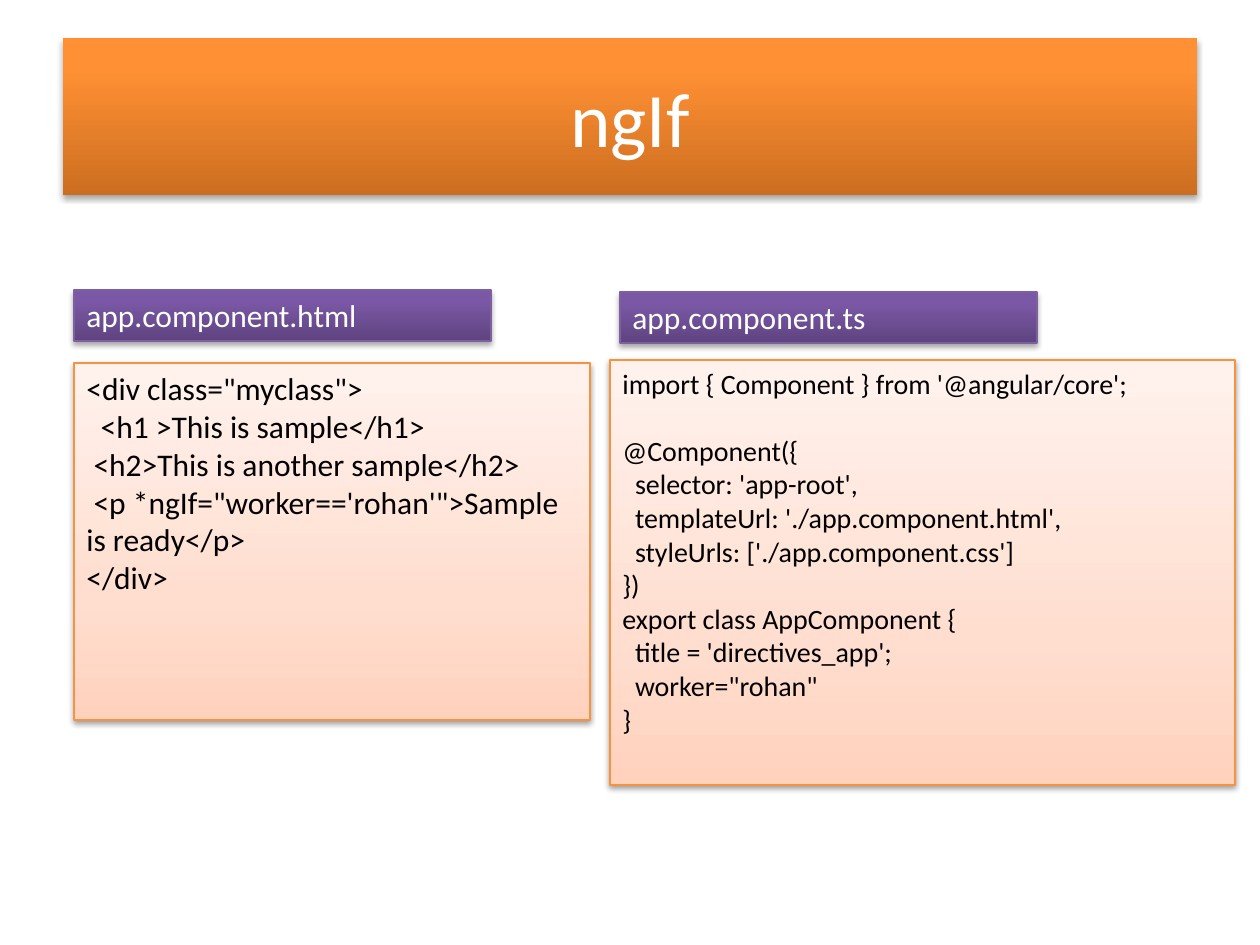
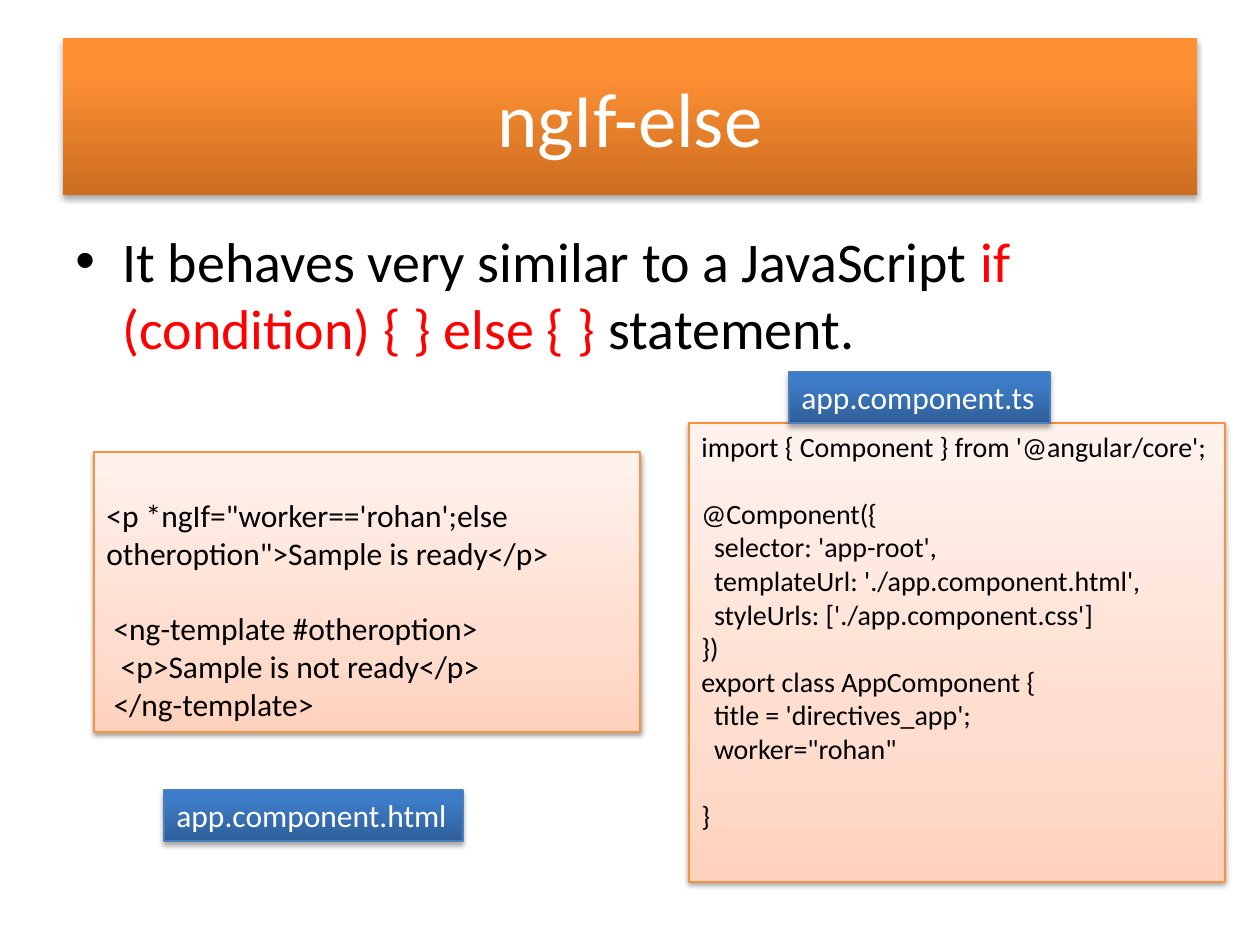
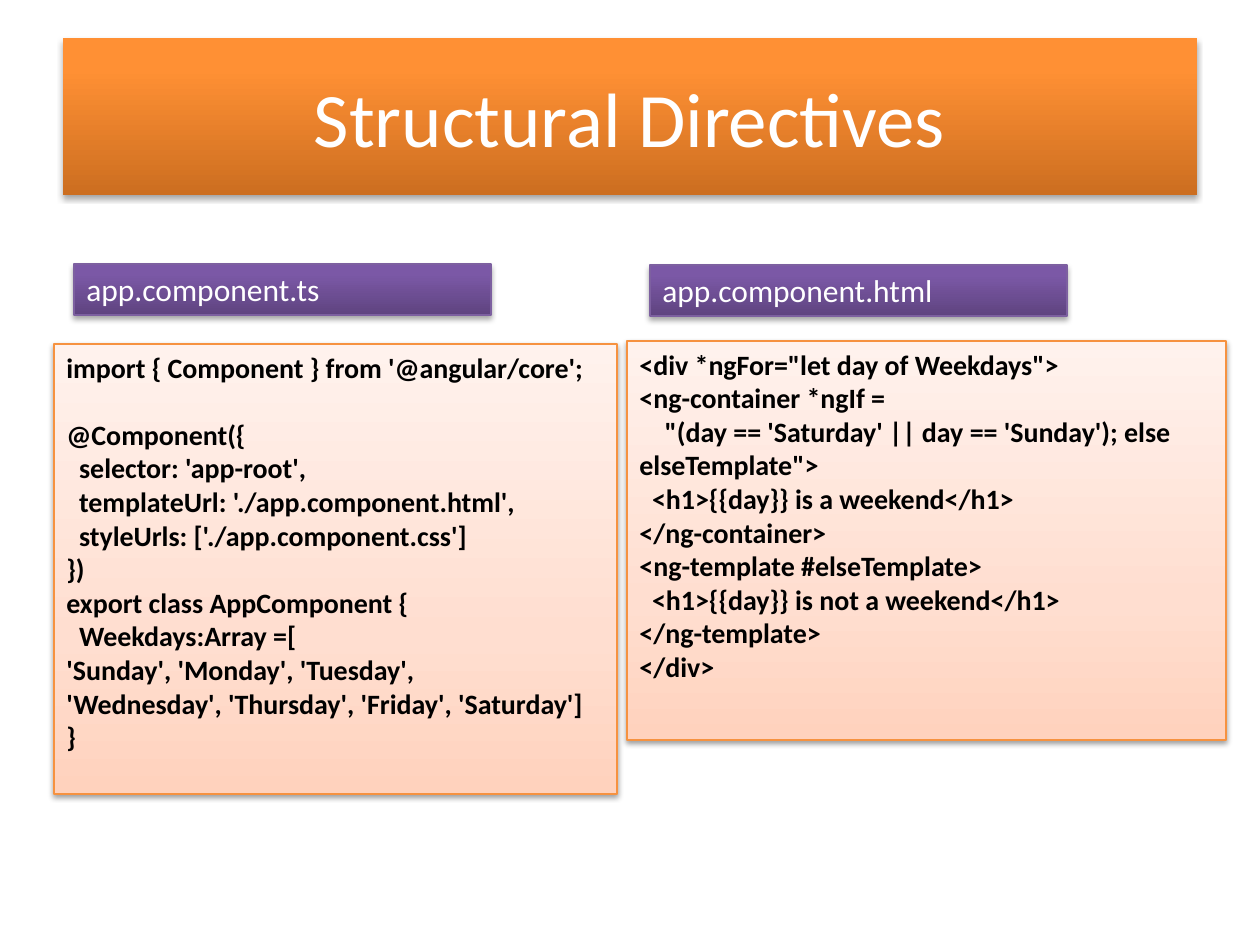
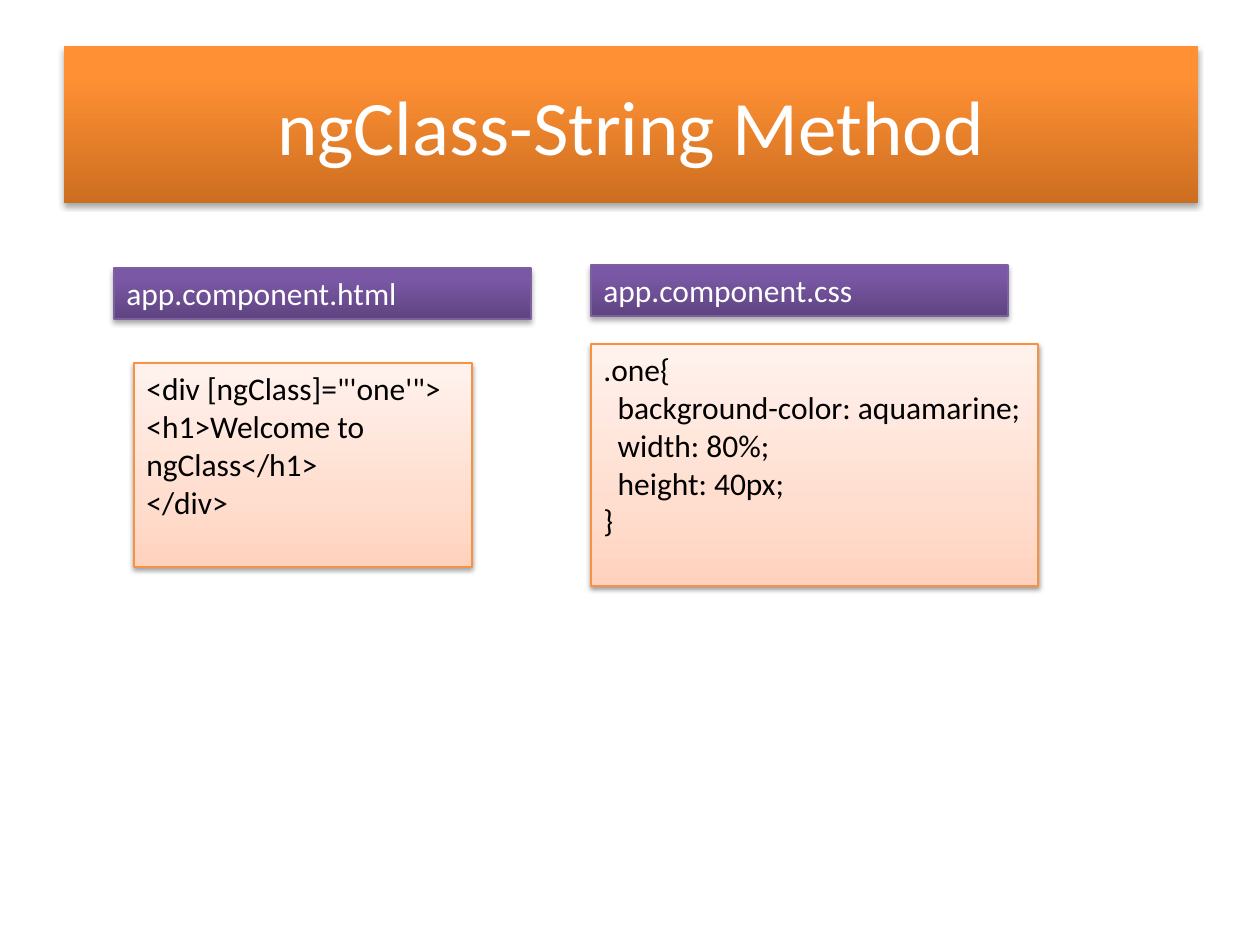
from lxml import etree
from pptx import Presentation
from pptx.dml.color import RGBColor
from pptx.enum.shapes import MSO_SHAPE
from pptx.enum.text import MSO_ANCHOR, PP_ALIGN
from pptx.oxml.ns import qn
from pptx.util import Pt

RECTANGLE = MSO_SHAPE.RECTANGLE
TOP, MIDDLE = MSO_ANCHOR.TOP, MSO_ANCHOR.MIDDLE
LEFT, CENTER = PP_ALIGN.LEFT, PP_ALIGN.CENTER

EMU_PER_PX = 914400 / 126
SLIDE_WIDTH, SLIDE_HEIGHT = 1260, 945
FONT = "Calibri"
LINE_HEIGHT = 1.2      # of the font size
SPACE_WIDTH = 0.226    # of the font size
BULLET_INDENT = 47

COLORS = {"black": "000000", "white": "FFFFFF", "red": "FF0000"}

# Gradient stops run from the bottom edge to the top edge.
STYLES = {
    "title": {"stops": [(0, "CC6E20"), (80, "FF9034"), (100, "FF9136")],
              "line": None, "shadow": (35, 1.8)},
    "code": {"stops": [(0, "FFD2BD"), (35, "FFDED0"), (100, "FFF2ED")],
             "line": "F69240", "shadow": (38, 1.6)},
    "purple": {"stops": [(0, "5F4480"), (80, "7B58A6"), (100, "7C57A8")],
               "line": "7D60A0", "shadow": (35, 1.8)},
    "blue": {"stops": [(0, "2F5F99"), (80, "3D7CC7"), (100, "3A7CCB")],
             "line": "4B7EBC", "shadow": (35, 1.8)},
}

TITLE_SIZE = (1134, 157)
TITLE_PLACE = (63, 38)
LABEL_WIDTH, LABEL_HEIGHT = 417, 51

HTML_FILE, TS_FILE, CSS_FILE = (
    "app.component.html", "app.component.ts", "app.component.css")

COMPONENT_HEAD = [
    "import { Component } from '@angular/core';",
    "",
    "@Component({",
    "  selector: 'app-root',",
    "  templateUrl: './app.component.html',",
    "  styleUrls: ['./app.component.css']",
    "})",
    "export class AppComponent {",
]
WORKER_FIELDS = ["  title = 'directives_app';", '  worker="rohan"']

# Panels: box, font size, code lines. Labels: left, top, width, file name.
SLIDES = [
    {
        "title": "ngIf",
        "panels": [
            ((74, 363, 516, 357), 18, [
                '<div class="myclass">',
                "  <h1 >This is sample</h1>",
                " <h2>This is another sample</h2>",
                " <p *ngIf=\"worker=='rohan'\">Sample is ready</p>",
                "</div>",
            ]),
            ((610, 360, 625, 425), 16,
             COMPONENT_HEAD + WORKER_FIELDS + ["}"]),
        ],
        "labels": [(620, 292, LABEL_WIDTH, TS_FILE),
                   (74, 290, LABEL_WIDTH, HTML_FILE)],
    },
    {
        "title": "ngIf-else",
        "body": [("It behaves very similar to a JavaScript ", "black"),
                 ("if (condition) { } else { }", "red"),
                 (" statement.", "black")],
        "panels": [
            ((94, 452, 546, 280), 18, [
                "",
                "<p *ngIf=\"worker=='rohan';else otheroption\">"
                "Sample is ready</p>",
                "",
                " <ng-template #otheroption>",
                "  <p>Sample is not ready</p>",
                " </ng-template>",
            ]),
            ((689, 423, 536, 459), 16,
             COMPONENT_HEAD + WORKER_FIELDS + ["", "}"]),
        ],
        "label_style": "blue",
        "labels": [(164, 790, 299, HTML_FILE), (789, 372, 261, TS_FILE)],
    },
    {
        "title": "Structural Directives",
        "bold": True,
        "panels": [
            ((54, 344, 563, 450), 16, COMPONENT_HEAD + [
                "  Weekdays:Array =[",
                "'Sunday', 'Monday', 'Tuesday',",
                "'Wednesday', 'Thursday', 'Friday', 'Saturday']",
                "}",
            ]),
            ((627, 341, 599, 399), 16, [
                '<div *ngFor="let day of Weekdays">',
                "<ng-container *ngIf =",
                "    \"(day == 'Saturday' || day == 'Sunday'); "
                "else elseTemplate\">",
                "  <h1>{{day}} is a weekend</h1>",
                "</ng-container>",
                "<ng-template #elseTemplate>",
                "  <h1>{{day}} is not a weekend</h1>",
                "</ng-template>",
                "</div>",
            ]),
        ],
        "labels": [(74, 264, LABEL_WIDTH, TS_FILE),
                   (650, 265, LABEL_WIDTH, HTML_FILE)],
    },
    {
        "title": "ngClass-String Method",
        "title_place": (64, 46),
        "panels": [
            ((134, 363, 338, 204), 18, [
                "<div [ngClass]=\"'one'\">",
                "<h1>Welcome to ngClass</h1>",
                "</div>",
            ]),
            ((591, 344, 447, 242), 18, [
                ".one{",
                "  background-color: aquamarine;",
                "  width: 80%;",
                "  height: 40px;",
                "}",
            ]),
        ],
        "labels": [(114, 268, LABEL_WIDTH, HTML_FILE),
                   (591, 265, LABEL_WIDTH, CSS_FILE)],
    },
]


def px(length):
    return round(length * EMU_PER_PX)


def add_color(parent, color):
    return etree.SubElement(parent, qn("a:srgbClr"), val=color)


def set_gradient(shape, stops):
    shape.fill.gradient()
    shape.fill.gradient_angle = 90
    stop_list = shape.fill._fill._gradFill.find(qn("a:gsLst"))
    stop_list.clear()
    for position, color in stops:
        add_color(etree.SubElement(stop_list, qn("a:gs"),
                                   pos=str(position * 1000)), color)


def set_shadow(shape, opacity, distance):
    shape.shadow.inherit = False
    effects = shape._element.spPr.find(qn("a:effectLst"))
    shadow = etree.SubElement(
        effects, qn("a:outerShdw"), blurRad=str(Pt(3.1)),
        dist=str(Pt(distance)), dir="5400000", rotWithShape="0")
    etree.SubElement(add_color(shadow, COLORS["black"]), qn("a:alpha"),
                     val=str(opacity * 1000))


def add_box(slide, box, style):
    shape = slide.shapes.add_shape(RECTANGLE, *map(px, box))
    set_gradient(shape, style["stops"])
    if style["line"]:
        shape.line.color.rgb = RGBColor.from_string(style["line"])
        shape.line.width = Pt(0.75)
    else:
        shape.line.fill.background()
    set_shadow(shape, *style["shadow"])
    return shape


def write_text(shape, lines, size=18, color="black", bold=False,
               align=LEFT, anchor=TOP):
    """Write each line, a string or a list of (text, color), as a paragraph.

    Leading spaces become a first-line indent; an empty line becomes space
    above the next paragraph, or a deeper top inset at the start.
    """
    frame = shape.text_frame
    frame.word_wrap = True
    frame.vertical_anchor = anchor
    paragraph, gap = None, 0
    for line in lines:
        if not line:
            gap += size * LINE_HEIGHT
            continue
        if paragraph is None:
            paragraph = frame.paragraphs[0]
            frame.margin_top += Pt(gap)
        else:
            paragraph = frame.add_paragraph()
            paragraph.space_before = Pt(gap)
        gap = 0
        paragraph.alignment = align
        runs = line
        if isinstance(line, str):
            code = line.lstrip()
            indent = Pt((len(line) - len(code)) * SPACE_WIDTH * size)
            paragraph._p.get_or_add_pPr().set("indent", str(indent))
            runs = [(code, color)]
        for text, run_color in runs:
            run = paragraph.add_run()
            run.text = text
            run.font.name = FONT
            run.font.size = Pt(size)
            run.font.bold = bold
            run.font.color.rgb = RGBColor.from_string(COLORS[run_color])


def add_body(slide, runs):
    body = slide.shapes.add_textbox(*map(px, (63, 220, 1134, 152)))
    write_text(body, [runs], size=32)
    properties = body.text_frame.paragraphs[0]._p.get_or_add_pPr()
    properties.set("marL", str(px(BULLET_INDENT)))
    properties.set("indent", str(-px(BULLET_INDENT)))
    etree.SubElement(properties, qn("a:buFont"), typeface="Arial")
    etree.SubElement(properties, qn("a:buChar"), char="•")


def build_slide(presentation, content):
    slide = presentation.slides.add_slide(presentation.slide_layouts[6])
    place = content.get("title_place", TITLE_PLACE)
    title = add_box(slide, place + TITLE_SIZE, STYLES["title"])
    write_text(title, [content["title"]], size=44, color="white",
               align=CENTER, anchor=MIDDLE)
    if "body" in content:
        add_body(slide, content["body"])
    for box, size, lines in content["panels"]:
        panel = add_box(slide, box, STYLES["code"])
        write_text(panel, lines, size=size, bold=content.get("bold", False))
    label_style = STYLES[content.get("label_style", "purple")]
    for left, top, width, file_name in content["labels"]:
        label = add_box(slide, (left, top, width, LABEL_HEIGHT), label_style)
        write_text(label, [file_name], color="white")


def main():
    presentation = Presentation()
    presentation.slide_width = px(SLIDE_WIDTH)
    presentation.slide_height = px(SLIDE_HEIGHT)
    for content in SLIDES:
        build_slide(presentation, content)
    presentation.save("out.pptx")


if __name__ == "__main__":
    main()
